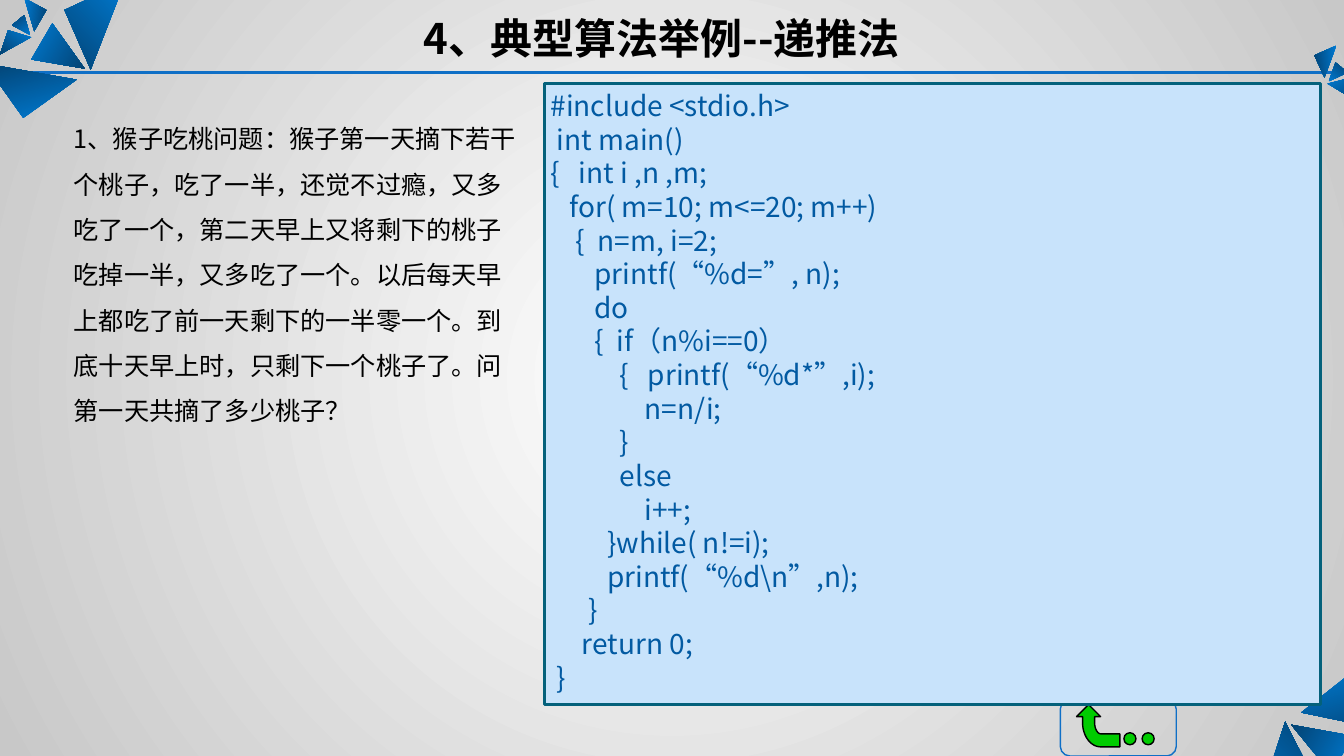
from lxml import etree
from pptx import Presentation
from pptx.dml.color import RGBColor
from pptx.enum.shapes import MSO_CONNECTOR, MSO_SHAPE
from pptx.enum.text import MSO_ANCHOR, MSO_AUTO_SIZE, PP_ALIGN
from pptx.oxml.ns import qn
from pptx.util import Pt

STRAIGHT = MSO_CONNECTOR.STRAIGHT
RECTANGLE, ROUNDED, OVAL = MSO_SHAPE.RECTANGLE, MSO_SHAPE.ROUNDED_RECTANGLE, MSO_SHAPE.OVAL
TOP, MIDDLE = MSO_ANCHOR.TOP, MSO_ANCHOR.MIDDLE
LEFT, CENTER = PP_ALIGN.LEFT, PP_ALIGN.CENTER
NO_AUTOFIT = MSO_AUTO_SIZE.NONE

FONT = "Noto Sans CJK SC"
BLUE, GREEN, BLACK = "0F6FC6", "00CC00", "000000"

HEADING = "4、典型算法举例--递推法"
PROBLEM = (
    "1、猴子吃桃问题：猴子第一天摘下若干个桃子，吃了一半，还觉不过瘾，"
    "又多吃了一个，第二天早上又将剩下的桃子吃掉一半，又多吃了一个。"
    "以后每天早上都吃了前一天剩下的一半零一个。到底十天早上时，"
    "只剩下一个桃子了。问第一天共摘了多少桃子？"
)
CODE = r""" #include <stdio.h>
  int main()
 {   int i ,n ,m;
    for( m=10; m<=20; m++)
     {  n=m, i=2;
        printf(“%d=”, n);
        do
        {  if（n%i==0）
            {   printf(“%d*”,i);
                n=n/i;
            }
            else
                i++;
          }while( n!=i);
          printf(“%d\n”,n);
       }
      return 0;
  }"""

# Rotation in degrees, then the three corners
TRIANGLES = [
    (224.2, [(895.7, 583.9), (918, 515.5), (942.5, 563.8)]),
    (119.1, [(966.2, 525.6), (922.3, 517.7), (951.1, 553)]),
    (343.5, [(968.4, 478.1), (929.5, 509), (999.4, 523.4)]),
    (45.5, [(89.3, -13), (64.8, 49.7), (46.1, 7.2)]),
    (300.5, [(22.3, 42.5), (60.5, 49), (37.4, 16.6)]),
    (164.9, [(16.6, 84.2), (54.7, 56.9), (-10.8, 45.4)]),
    (38, [(0, 38.9), (22.3, 26.6), (5.8, 21.6)]),
    (143.1, [(17.3, 10.8), (21.6, 25.2), (8.6, 18)]),
    (278.7, [(33.1, 7.2), (24.5, 22.3), (17.3, -1.4)]),
    (325, [(969.8, 72.7), (948.2, 59.8), (965.5, 55.4)]),
    (219.9, [(954, 44.6), (949, 58.3), (962.6, 51.8)]),
    (84.3, [(938.9, 39.6), (946.1, 55.4), (954.7, 32.4)]),
]


def color(value):
    return RGBColor.from_string(value)


def set_attributes(target, values):
    for name, value in values.items():
        setattr(target, name, value)


def set_gradient(fill, first, last):
    fill.gradient()
    for stop, value in zip(fill.gradient_stops, (first, last)):
        stop.color.rgb = color(value)


def set_background(slide):
    """Fill the background with a gradient spreading from the centre."""
    fill = slide.background.fill
    set_gradient(fill, "FFFFFF", "C8C8C8")
    linear = next(slide.background._cSld.iter(qn("a:lin")))
    circle = etree.Element(qn("a:path"), path="circle")
    sides = dict.fromkeys("ltrb", "50000")
    etree.SubElement(circle, qn("a:fillToRect"), sides)
    linear.getparent().replace(linear, circle)


def style_shape(shape, fill=None, line=None, width=1):
    shape.shadow.inherit = False
    if fill:
        shape.fill.solid()
        shape.fill.fore_color.rgb = color(fill)
    else:
        shape.fill.background()
    if line:
        shape.line.color.rgb = color(line)
        shape.line.width = Pt(width)
    else:
        shape.line.fill.background()


def add_preset(slide, kind, box, **style):
    shape = slide.shapes.add_shape(kind, *map(Pt, box))
    style_shape(shape, **style)
    return shape


def add_outline(slide, points, **style):
    corners = [(Pt(x), Pt(y)) for x, y in points]
    builder = slide.shapes.build_freeform(*corners[0])
    builder.add_line_segments(corners[1:], close=True)
    shape = builder.convert_to_shape()
    style_shape(shape, **style)
    return shape


def curve(start, control_1, control_2, end, steps=12):
    """Return points along a cubic Bezier curve."""
    points = []
    for step in range(steps + 1):
        t = step / steps
        weights = ((1 - t) ** 3, 3 * t * (1 - t) ** 2, 3 * t * t * (1 - t), t ** 3)
        points.append(tuple(
            sum(weight * value for weight, value in zip(weights, axis))
            for axis in zip(start, control_1, control_2, end)
        ))
    return points


def write_text(shape, text, size, text_color, anchor=MIDDLE, align=LEFT,
               line_spacing=None, bold=False, margins=(7.2, 3.6, 7.2, 3.6)):
    frame = shape.text_frame
    left, top, right, bottom = map(Pt, margins)
    set_attributes(frame, {
        "text": text, "word_wrap": True, "auto_size": NO_AUTOFIT,
        "vertical_anchor": anchor, "margin_left": left, "margin_top": top,
        "margin_right": right, "margin_bottom": bottom,
    })
    for paragraph in frame.paragraphs:
        properties = paragraph._p.get_or_add_pPr()
        properties.set("marL", "0")
        properties.set("indent", "0")
        etree.SubElement(properties, qn("a:buNone"))
        set_attributes(paragraph, {
            "alignment": align, "space_before": Pt(0), "line_spacing": line_spacing,
        })
        for run in paragraph.runs:
            set_attributes(run.font, {"name": FONT, "size": Pt(size), "bold": bold})
            run.font.color.rgb = color(text_color)
            latin = run.font._element.find(qn("a:latin"))
            latin.addnext(etree.Element(qn("a:ea"), typeface=FONT))


def place(shape, box):
    set_attributes(shape, dict(zip(("left", "top", "width", "height"), map(Pt, box))))


def add_rule(slide):
    rule = slide.shapes.add_connector(STRAIGHT, Pt(2), Pt(51.8), Pt(960), Pt(51.8))
    rule.line.color.rgb = color(BLUE)
    rule.line.width = Pt(2.25)
    etree.SubElement(rule._element.spPr, qn("a:effectLst"))


def add_triangle(slide, rotation, corners):
    triangle = add_outline(slide, corners)
    set_gradient(triangle.fill, "007BD3", "034373")
    triangle.fill.gradient_angle = (270 - rotation) % 360


def add_return_button(slide):
    add_preset(slide, ROUNDED, (757.4, 499.7, 82.8, 40.3), line=BLUE)
    outer = curve((773.3, 516.2), (773.3, 525.6), (779, 533.5), (786.2, 533.5))
    inner = curve((786.2, 524.2), (784.1, 524.2), (781.9, 520.6), (781.9, 516.2))
    arrow = [(777.6, 503.3), (769, 511.9), (773.3, 511.9), *outer,
             (799.9, 533.5), (799.9, 524.2), *inner, (781.9, 511.9), (786.2, 511.9)]
    add_outline(slide, arrow, fill=GREEN, line=BLACK)
    for left in (802.8, 815.8):
        add_preset(slide, OVAL, (left, 523.4, 8.6, 8.6), fill=GREEN, line=BLACK)


def main():
    presentation = Presentation()
    set_attributes(presentation, {"slide_width": Pt(960), "slide_height": Pt(540)})
    slide = presentation.slides.add_slide(presentation.slide_layouts[1])
    set_background(slide)

    heading, problem = slide.placeholders
    place(heading, (60.5, 5, 824.4, 43.2))
    write_text(heading, HEADING, 30, BLACK, align=CENTER, bold=True)
    place(problem, (45.4, 72.7, 333.4, 236.2))
    write_text(problem, PROBLEM, 18, BLACK, line_spacing=Pt(32.4))

    add_rule(slide)
    for rotation, corners in TRIANGLES:
        add_triangle(slide, rotation, corners)
    add_return_button(slide)

    code = add_preset(slide, RECTANGLE, (388.8, 59.8, 554.4, 443.5),
                      fill="C8E3FB", line="04617B", width=2.25)
    write_text(code, CODE, 20, "025AA2", anchor=TOP, line_spacing=Pt(24),
               margins=(0, 3.6, 7.2, 3.6))

    presentation.save("out.pptx")


if __name__ == "__main__":
    main()
